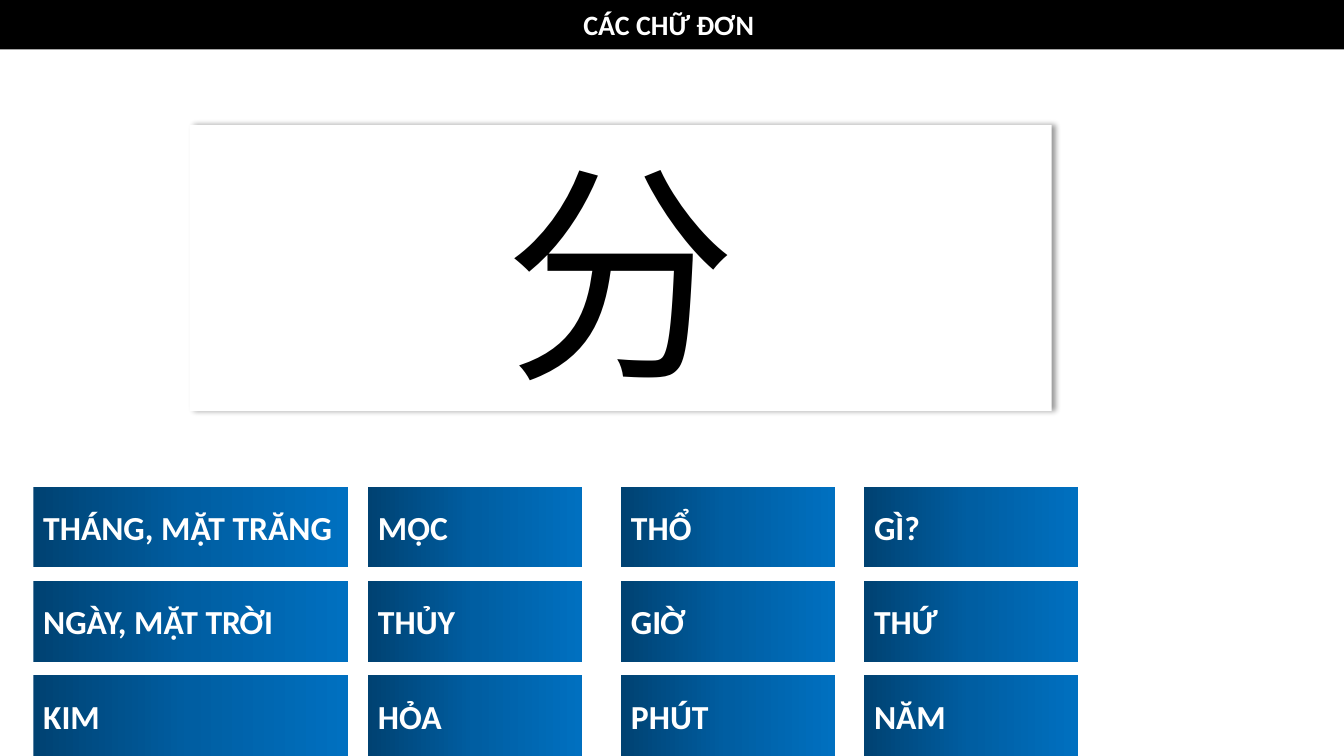
from copy import deepcopy
from dataclasses import dataclass

from lxml import etree
from pptx import Presentation
from pptx.dml.color import RGBColor
from pptx.enum import shapes, text
from pptx.oxml import ns
from pptx.util import Inches, Pt


@dataclass(frozen=True)
class Theme:
    font: str = "Calibri"
    black: str = "000000"
    white: str = "FFFFFF"
    gradient: tuple = ((0, "004272"), (0.5, "005EA2"), (1, "0070C0"))
    title_size: int = 20
    answer_size: int = 24
    character_size: int = 166


THEME = Theme()

# Each column of answers: left, width, words from top to bottom
ANSWERS = [
    (0.33, 3.12, ["THÁNG, MẶT TRĂNG", "NGÀY, MẶT TRỜI", "KIM"]),
    (3.65, 2.12, ["MỘC", "THỦY", "HỎA"]),
    (6.16, 2.12, ["THỔ", "GIỜ", "PHÚT"]),
    (8.57, 2.12, ["GÌ?", "THỨ", "NĂM"]),
]


def rgb(color):
    return RGBColor.from_string(color)


def write(sp, words, *, size, color, bold=False, align=text.PP_ALIGN.LEFT):
    tf = sp.text_frame
    tf.word_wrap = True
    tf.auto_size = text.MSO_AUTO_SIZE.NONE
    tf.vertical_anchor = text.MSO_ANCHOR.MIDDLE
    p = tf.paragraphs[0]
    p.alignment = align
    r = p.add_run()
    r.text = words
    r.font.name = THEME.font
    r.font.size = Pt(size)
    r.font.bold = bold
    r.font.color.rgb = rgb(color)


def add_box(s, left, top, width, height):
    sp = s.shapes.add_shape(shapes.MSO_SHAPE.RECTANGLE, Inches(left),
                            Inches(top), Inches(width), Inches(height))
    sp.shadow.inherit = False
    sp.line.fill.background()
    return sp


def fill_gradient(sp):
    sp.fill.gradient()
    sp.fill.gradient_angle = 0
    # The default gradient has two stops; add a middle one
    first = sp._element.spPr.find(".//" + ns.qn("a:gs"))
    first.addnext(deepcopy(first))
    for stop, (position, color) in zip(sp.fill.gradient_stops, THEME.gradient):
        stop.position = position
        stop.color.rgb = rgb(color)


def cast_shadow(sp):
    effects = sp._element.spPr.find(ns.qn("a:effectLst"))
    shadow = etree.SubElement(effects, ns.qn("a:outerShdw"), blurRad=str(Pt(4)),
                              dist=str(Pt(3)), dir="0", algn="l", rotWithShape="0")
    color = etree.SubElement(shadow, ns.qn("a:srgbClr"), val=THEME.black)
    etree.SubElement(color, ns.qn("a:alpha"), val="40000")


def title_bar(s, left, top, width, height):
    sp = s.shapes.title
    sp.left, sp.top = Inches(left), Inches(top)
    sp.width, sp.height = Inches(width), Inches(height)
    sp.fill.solid()
    sp.fill.fore_color.rgb = rgb(THEME.black)
    write(sp, "CÁC CHỮ ĐƠN ", size=THEME.title_size, color=THEME.white,
          bold=True, align=text.PP_ALIGN.CENTER)


def character_card(s, left, top, width, height):
    sp = add_box(s, left, top, width, height)
    sp.fill.solid()
    sp.fill.fore_color.rgb = rgb(THEME.white)
    cast_shadow(sp)
    write(sp, "分", size=THEME.character_size, color=THEME.black,
          align=text.PP_ALIGN.CENTER)


def answer_column(s, left, top, width, height, words, box_height=0.8):
    pitch = (height - box_height) / (len(words) - 1)
    for i, word in enumerate(words):
        sp = add_box(s, left, top + i * pitch, width, box_height)
        fill_gradient(sp)
        write(sp, word, size=THEME.answer_size, color=THEME.white, bold=True)


def main():
    prs = Presentation()
    prs.slide_width, prs.slide_height = Inches(13.33), Inches(7.5)
    s = prs.slides.add_slide(prs.slide_layouts.get_by_name("Title Only"))

    title_bar(s, 0, 0, 13.33, 0.49)
    character_card(s, 1.88, 1.24, 8.55, 2.84)
    for left, width, words in ANSWERS:
        answer_column(s, left, 4.83, width, 2.67, words)

    prs.save("out.pptx")


if __name__ == "__main__":
    main()
